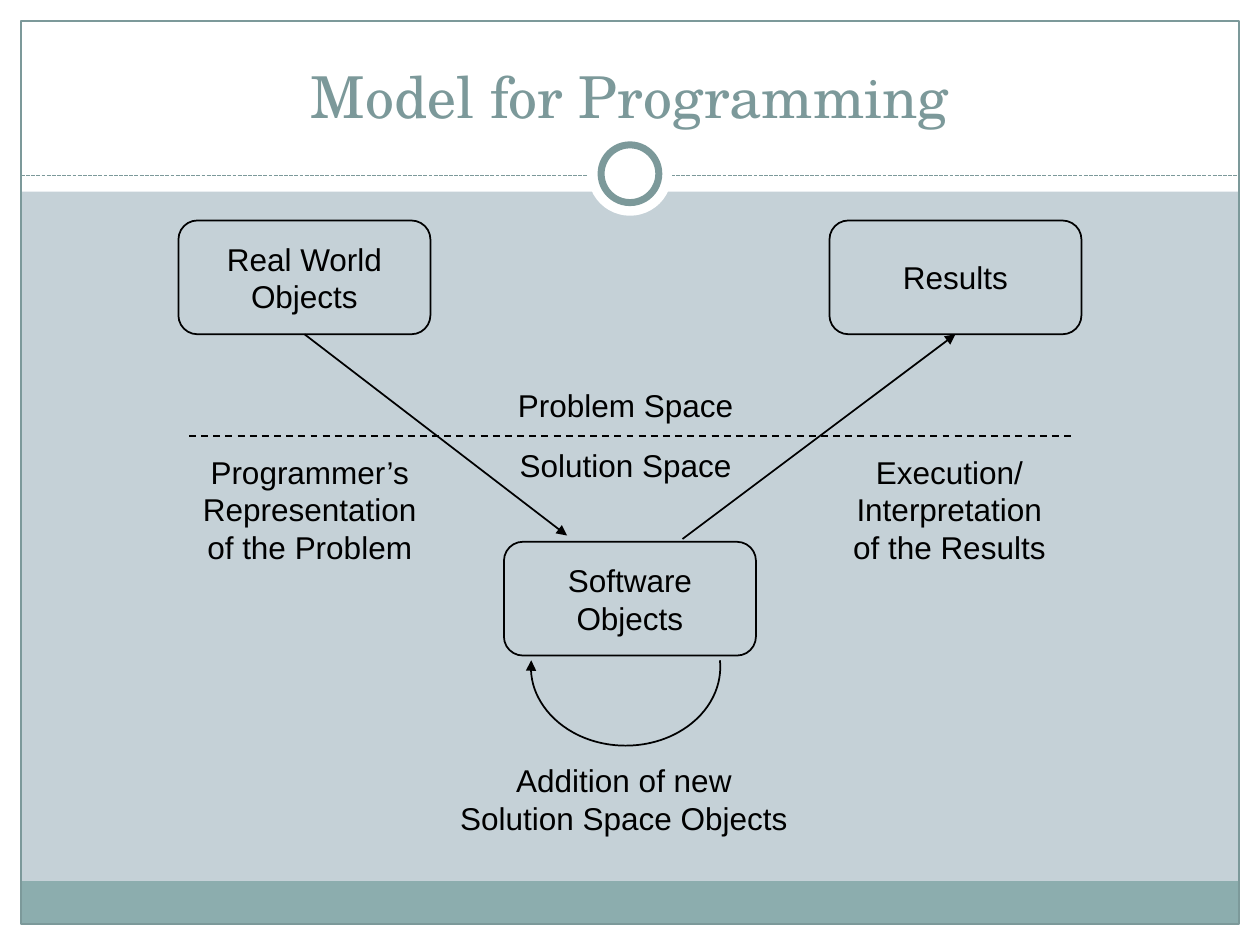
from lxml import etree
from pptx import Presentation
from pptx.dml.color import RGBColor
from pptx.enum.dml import MSO_LINE
from pptx.enum.shapes import MSO_CONNECTOR, MSO_SHAPE
from pptx.enum.text import MSO_ANCHOR, PP_ALIGN
from pptx.oxml.ns import qn
from pptx.util import Pt

BLACK = RGBColor(0x00, 0x00, 0x00)
WHITE = RGBColor(0xFF, 0xFF, 0xFF)
MIST = RGBColor(0xC5, 0xD1, 0xD7)
TEAL = RGBColor(0x8C, 0xAD, 0xAE)
SLATE = RGBColor(0x7C, 0x99, 0x9A)

STRAIGHT = MSO_CONNECTOR.STRAIGHT
DASH = MSO_LINE.DASH
SHORT_DASH = MSO_LINE.SQUARE_DOT
RECTANGLE = MSO_SHAPE.RECTANGLE
ROUNDED = MSO_SHAPE.ROUNDED_RECTANGLE
OVAL = MSO_SHAPE.OVAL
ARC = MSO_SHAPE.ARC
MIDDLE = MSO_ANCHOR.MIDDLE
BOTTOM = MSO_ANCHOR.BOTTOM
CENTER = PP_ALIGN.CENTER

BOTTOM_SITE = 2
ARC_DEGREE = 0.6


def set_text(holder, lines, size=18, font="Arial", color=BLACK, anchor=MIDDLE):
    frame = holder.text_frame
    frame.text = "\n".join(lines)
    frame.vertical_anchor = anchor
    for paragraph in frame.paragraphs:
        paragraph.alignment = CENTER
        for run in paragraph.runs:
            run.font.size = Pt(size)
            run.font.name = font
            run.font.color.rgb = color


def add_label(slide, box, lines, **style):
    label = slide.shapes.add_textbox(*map(Pt, box))
    label.text_frame.word_wrap = True
    set_text(label, lines, **style)


def add_figure(slide, kind, box, fill=None, line=None, weight=1):
    figure = slide.shapes.add_shape(kind, *map(Pt, box))
    figure.shadow.inherit = False
    if fill is None:
        figure.fill.background()
    else:
        figure.fill.solid()
        figure.fill.fore_color.rgb = fill
    if line is None:
        figure.line.fill.background()
    else:
        figure.line.color.rgb = line
        figure.line.width = Pt(weight)
    return figure


def add_line(slide, start, end, color=BLACK, weight=1, dash=None):
    line = slide.shapes.add_connector(STRAIGHT, *map(Pt, start + end))
    line.line.color.rgb = color
    line.line.width = Pt(weight)
    if dash is not None:
        line.line.dash_style = dash
    etree.SubElement(line._element.spPr, qn("a:effectLst"))
    return line


def add_arrowhead(stroke):
    outline = stroke.line._get_or_add_ln()
    etree.SubElement(outline, qn("a:tailEnd"), type="triangle")


def add_node(slide, box, lines):
    node = add_figure(slide, ROUNDED, box, line=BLACK)
    node.adjustments[0] = 0.167
    set_text(node, lines)
    return node


def add_frame(slide, box):
    left, top, width, height = box
    margin = 12
    header_height = 109.5
    footer_height = 24.5
    right, bottom = left + width, top + height
    inner_width = width - 2 * margin
    borders = [
        (left, bottom - margin, width, margin),
        (left, top, width, header_height),
        (left, top, margin, height),
        (right - margin, top, margin, height),
    ]
    for border in borders:
        add_figure(slide, RECTANGLE, border, fill=WHITE)
    footer_top = bottom - margin - footer_height
    add_figure(slide, RECTANGLE,
               (left + margin, footer_top, inner_width, footer_height), fill=TEAL)
    add_figure(slide, RECTANGLE,
               (left + margin, top + margin, inner_width, height - 2 * margin),
               line=SLATE, weight=0.75)


def add_header(slide, box):
    left, top, width, height = box
    rule_y = top + height - 9
    add_line(slide, (left, rule_y), (left + width, rule_y), SLATE, 0.75, SHORT_dash_or_none())
    center_x, center_y = left + width / 2, rule_y - 1.2
    for diameter, outline in ((48, None), (33, SLATE)):
        circle = (center_x - diameter / 2, center_y - diameter / 2, diameter, diameter)
        add_figure(slide, OVAL, circle, WHITE, outline, 4)
    add_label(slide, (left + 12, top + 6, width - 24, 60), ["Model for Programming"],
              size=33, font="TeX Gyre Schola", color=SLATE, anchor=BOTTOM)


def SHORT_dash_or_none():
    return SHORT_DASH


def add_model(slide, box):
    left, top, width, height = box
    node_width, node_height = 144, 65
    center_x = left + width / 2
    software_left, software_top = center_x - node_width / 2, top + 183.6
    software_bottom = software_top + node_height

    add_node(slide, (software_left, software_top, node_width, node_height),
             ["Software", "Objects"])
    real_world = add_node(slide, (left, top, node_width, node_height),
                          ["Real World", "Objects"])
    results = add_node(slide, (left + width - node_width, top, node_width, node_height),
                       ["Results"])

    representation = add_line(slide, (left + node_width / 2, top + node_height),
                              (center_x - 36, software_top - 3.6))
    representation.begin_connect(real_world, BOTTOM_SITE)
    add_arrowhead(representation)
    execution = add_line(slide, (center_x + 30, software_top - 1.6),
                         (left + width - node_width / 2, top + node_height))
    execution.end_connect(results, BOTTOM_SITE)
    add_arrowhead(execution)

    divider_y = top + 123
    add_line(slide, (left + 6, divider_y), (left + width - 6, divider_y), dash=DASH)

    labels = [
        (75, 129, 150, 72, ["Programmer’s", "Representation", "of the Problem"]),
        (width - 75.5, 129, 150, 72, ["Execution/", "Interpretation", "of the Results"]),
        (width / 2 - 2.5, 91, 150, 29, ["Problem Space"]),
        (width / 2 - 2.5, 125, 150, 29, ["Solution Space"]),
        (width / 2 - 3.5, height - 50.5, 220, 50.5,
         ["Addition of new", "Solution Space Objects"]),
    ]
    for middle, offset, label_width, label_height, lines in labels:
        label_left = left + middle - label_width / 2
        add_label(slide, (label_left, top + offset, label_width, label_height), lines)

    loop = add_figure(slide, ARC, (center_x - 56.6, software_bottom - 38.5, 108.2, 90),
                      line=BLACK)
    loop.adjustments[0] = 356 * ARC_DEGREE
    loop.adjustments[1] = 184 * ARC_DEGREE
    add_arrowhead(loop)


def main():
    presentation = Presentation()
    presentation.slide_width = Pt(720)
    presentation.slide_height = Pt(540)
    slide = presentation.slides.add_slide(presentation.slide_layouts[6])
    slide.background.fill.solid()
    slide.background.fill.fore_color.rgb = MIST
    add_frame(slide, (0, 0, 720, 540))
    add_header(slide, (12, 12, 696, 97.5))
    add_model(slide, (102, 126, 516, 356))
    presentation.save("out.pptx")


if __name__ == "__main__":
    main()
